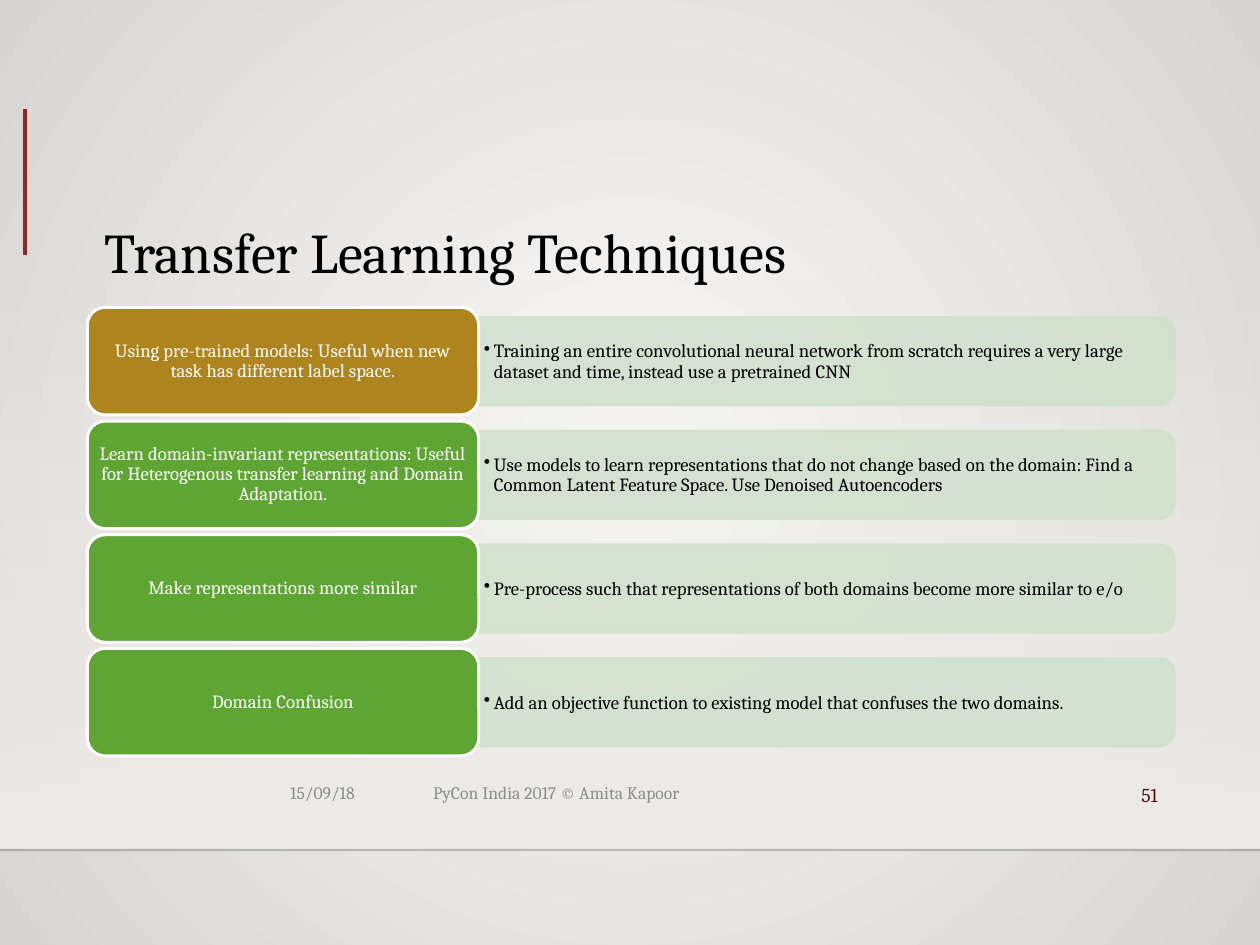
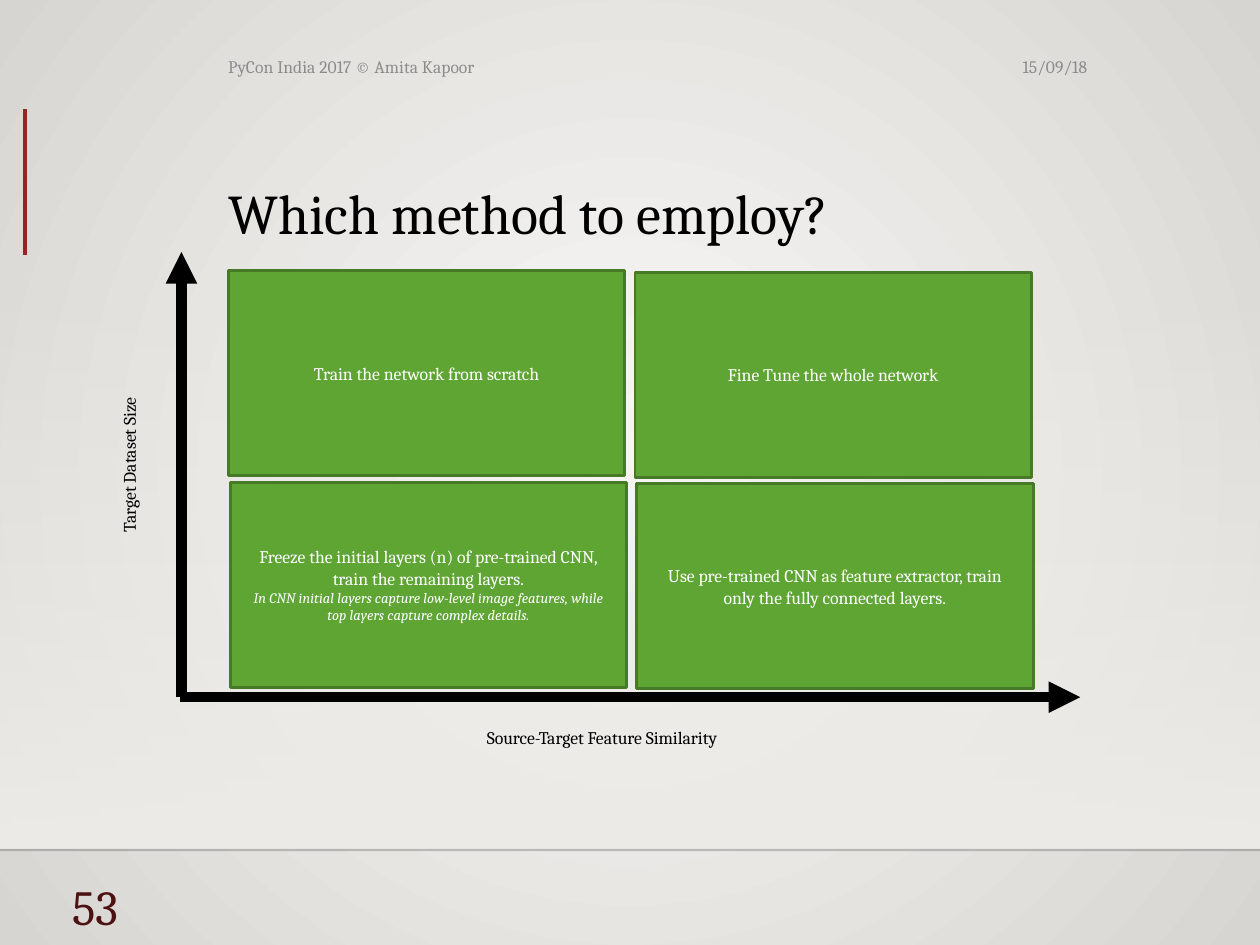
import pptx
import pptx.dml.color
import pptx.enum.shapes
import pptx.enum.text
import pptx.oxml
import pptx.oxml.ns
import pptx.util
from pptx.util import Inches

RGBColor = pptx.dml.color.RGBColor
ALIGN = pptx.enum.text.PP_ALIGN
ANCHOR = pptx.enum.text.MSO_ANCHOR
AUTO_SIZE = pptx.enum.text.MSO_AUTO_SIZE
SHAPE = pptx.enum.shapes.MSO_SHAPE
qn = pptx.oxml.ns.qn

FONT = "Cambria"
BLACK = RGBColor(0x00, 0x00, 0x00)
WHITE = RGBColor(0xFF, 0xFF, 0xFF)
GRAY = RGBColor(0x8C, 0x8C, 0x8C)
MAROON = RGBColor(0x4C, 0x12, 0x12)
RED = RGBColor(0x97, 0x23, 0x23)
GOLD = RGBColor(0xAE, 0x84, 0x1E)
GREEN = RGBColor(0x5F, 0xA5, 0x34)
DARK_GREEN = RGBColor(0x46, 0x7A, 0x26)
PALE_GREEN = RGBColor(0xD2, 0xE1, 0xCE)
PAPER_LIGHT = RGBColor(0xFA, 0xFA, 0xF9)
PAPER_DARK = RGBColor(0xD7, 0xD5, 0xD2)
BAND = RGBColor(0xED, 0xEB, 0xE7)

DATE = "15/09/18"
COPYRIGHT = "PyCon India 2017 © Amita Kapoor"

TECHNIQUES = [
    ("Using pre-trained models: Useful when new task has different label space.",
     "Training an entire convolutional neural network from scratch requires "
     "a very large dataset and time, instead use a pretrained CNN", GOLD),
    ("Learn domain-invariant representations: Useful for Heterogenous transfer "
     "learning and Domain Adaptation.",
     "Use models to learn representations that do not change based on the domain: "
     "Find a Common Latent Feature Space. Use Denoised Autoencoders", GREEN),
    ("Make representations more similar",
     "Pre-process such that representations of both domains become more similar to e/o",
     GREEN),
    ("Domain Confusion",
     "Add an objective function to existing model that confuses the two domains.", GREEN),
]

METHODS = [
    ["Train the network from scratch", "Fine Tune the whole network"],
    ["Freeze the initial layers (n) of pre-trained CNN, train the remaining layers.",
     "Use pre-trained CNN as feature extractor, train only the fully connected layers."],
]
FREEZE_NOTE = ("In CNN initial layers capture low-level image features, "
               "while top layers capture complex details.")


def xml(tag, attributes="", children=""):
    """Make one element of the drawing namespace."""
    namespace = pptx.oxml.ns.nsdecls("a")
    return pptx.oxml.parse_xml(f"<a:{tag} {namespace} {attributes}>{children}</a:{tag}>")


def write(frame, text, size, color=BLACK, align=ALIGN.LEFT, italic=None,
          line_spacing=None, bullet_indent=None, add=False):
    """Write one paragraph; add=True puts it after those already there."""
    paragraph = frame.add_paragraph() if add else frame.paragraphs[0]
    paragraph.alignment = align
    if line_spacing:
        paragraph.line_spacing = line_spacing
    if bullet_indent:
        properties = paragraph._p.get_or_add_pPr()
        properties.set("marL", str(bullet_indent))
        properties.set("indent", str(-bullet_indent))
        properties.append(xml("buChar", 'char="•"'))
    run = paragraph.add_run()
    run.text = text
    run.font.name = FONT
    run.font.size = pptx.util.Pt(size)
    run.font.italic = italic
    run.font.color.rgb = color


def set_insets(frame, horizontal, vertical):
    frame.margin_left = frame.margin_right = Inches(horizontal)
    frame.margin_top = frame.margin_bottom = Inches(vertical)


def add_text(slide, box, text, size, anchor=ANCHOR.TOP, wrap=True, **text_format):
    shape = slide.shapes.add_textbox(*map(Inches, box))
    frame = shape.text_frame
    frame.word_wrap = wrap
    frame.auto_size = AUTO_SIZE.NONE if wrap else AUTO_SIZE.SHAPE_TO_FIT_TEXT
    frame.vertical_anchor = anchor
    write(frame, text, size, **text_format)
    return shape


def add_box(slide, kind, box, fill, line=None, width=1.25):
    shape = slide.shapes.add_shape(kind, *map(Inches, box))
    shape.shadow.inherit = False
    shape.fill.solid()
    shape.fill.fore_color.rgb = fill
    if line is None:
        shape.line.fill.background()
    else:
        shape.line.color.rgb = line
        shape.line.width = pptx.util.Pt(width)
    shape.text_frame.word_wrap = True
    shape.text_frame.vertical_anchor = ANCHOR.MIDDLE
    return shape


def add_line(slide, start, end, color, width, arrow=False):
    connector = slide.shapes.add_connector(
        pptx.enum.shapes.MSO_CONNECTOR.STRAIGHT, *map(Inches, start + end))
    connector.line.color.rgb = color
    connector.line.width = pptx.util.Pt(width)
    if arrow:
        connector.line._get_or_add_ln().append(xml("tailEnd", 'type="triangle"'))
    connector._element.spPr.append(xml("effectLst"))
    return connector


def set_opacity(shape, percent):
    """Make the fill and line of a shape partly transparent."""
    for color in shape._element.spPr.iter(qn("a:srgbClr")):
        color.append(xml("alpha", f'val="{percent * 1000}"'))


def set_gradient(parent, first, last, direction, first_opacity=100):
    """Replace the parent's solid fill by a gradient of two colours."""
    gradient = xml(
        "gradFill", 'rotWithShape="1"',
        f'<a:gsLst><a:gs pos="0"><a:srgbClr val="{first}">'
        f'<a:alpha val="{first_opacity * 1000}"/></a:srgbClr></a:gs>'
        f'<a:gs pos="100000"><a:srgbClr val="{last}"/></a:gs></a:gsLst>{direction}')
    parent.replace(parent.find(qn("a:solidFill")), gradient)


def decorate_layout(layout, slide):
    """Draw the shared backdrop on the slide and move it into its layout."""
    layout.background.fill.solid()
    set_gradient(next(layout.element.iter(qn("p:bgPr"))), PAPER_LIGHT, PAPER_DARK,
                 '<a:path path="circle"><a:fillToRect l="50000" t="50000" '
                 'r="50000" b="50000"/></a:path>')
    band = add_box(slide, SHAPE.RECTANGLE, (0, 1.65, 7.5, 3.4), BAND)
    set_gradient(band._element.spPr, BAND, BAND,
                 '<a:lin ang="5400000" scaled="0"/>', first_opacity=0)
    rule = add_line(slide, (0, 5.06), (7.5, 5.06), BLACK, 1)
    set_opacity(rule, 20)
    accent = add_line(slide, (0.15, 0.65), (0.15, 1.52), RED, 1.75)
    for shape in (band, rule, accent):
        layout.shapes.element.append(shape._element)


def set_title(slide, text, box):
    title = slide.shapes.title
    title.left, title.top, title.width, title.height = map(Inches, box)
    frame = title.text_frame
    frame.auto_size = AUTO_SIZE.NONE
    frame.vertical_anchor = ANCHOR.BOTTOM
    write(frame, text, 24, line_spacing=0.9)


def add_footers(slide, date_box, copyright_box, number, number_box, number_size):
    add_text(slide, date_box, DATE, 7.5, ANCHOR.MIDDLE, color=GRAY, align=ALIGN.RIGHT)
    add_text(slide, copyright_box, COPYRIGHT, 7.5, ANCHOR.MIDDLE, color=GRAY)
    add_text(slide, number_box, number, number_size, color=MAROON, align=ALIGN.RIGHT)


def add_technique(slide, top, name, description, color):
    # The bar is drawn upright and turned, so its rounded end faces right.
    bar = add_box(slide, SHAPE.ROUND_2_SAME_RECTANGLE,
                  (4.66, top - 1.75, 0.52, 4.14), PALE_GREEN, PALE_GREEN)
    bar.rotation = 90
    set_opacity(bar, 90)
    detail = add_text(slide, (2.85, top + 0.09, 4.11, 0.47), description, 8,
                      ANCHOR.MIDDLE, line_spacing=0.9, bullet_indent=Inches(0.06))
    set_insets(detail.text_frame, 0.03, 0.02)
    card = add_box(slide, SHAPE.ROUNDED_RECTANGLE, (0.52, top, 2.33, 0.64), color, WHITE)
    set_insets(card.text_frame, 0.03, 0.02)
    write(card.text_frame, name, 8, color=WHITE, align=ALIGN.CENTER, line_spacing=0.9)


def build_techniques(slide):
    set_title(slide, "Transfer Learning Techniques", (0.52, 0.93, 6.47, 0.82))
    add_footers(slide, (0.52, 4.61, 1.69, 0.22), (2.48, 4.61, 2.53, 0.22),
                "51", (5.3, 4.61, 1.69, 0.22), 8.4)
    first_top, last_top = 1.83, 3.86
    pitch = (last_top - first_top) / (len(TECHNIQUES) - 1)
    for index, technique in enumerate(TECHNIQUES):
        add_technique(slide, first_top + index * pitch, *technique)


def build_methods(slide):
    set_title(slide, "Which method to employ?", (1.26, 0.66, 5.31, 0.86))
    add_footers(slide, (4.63, 0.27, 1.94, 0.25), (1.26, 0.27, 3.23, 0.25),
                "53", (0.15, 5.17, 0.65, 0.41), 21)
    add_line(slide, (1.08, 4.15), (1.08, 1.5), BLACK, 4.5, arrow=True)
    add_line(slide, (1.07, 4.15), (6.43, 4.15), BLACK, 4.5, arrow=True)
    size_label = add_text(slide, (0.22, 2.6, 1.1, 0.23), "Target Dataset Size", 7.6,
                          wrap=False)
    size_label.rotation = 270
    add_text(slide, (2.8, 4.28, 1.74, 0.23), "Source-Target Feature Similarity", 7.6,
             wrap=False)
    frames = {}
    for row, texts in enumerate(METHODS):
        for column, text in enumerate(texts):
            left = 1.36 + 2.42 * column + 0.01 * row
            top = 1.61 + 1.26 * row + 0.01 * column
            quadrant = add_box(slide, SHAPE.RECTANGLE, (left, top, 2.36, 1.22),
                               GREEN, DARK_GREEN)
            write(quadrant.text_frame, text, 7.6, color=WHITE, align=ALIGN.CENTER)
            frames[row, column] = quadrant.text_frame
    write(frames[1, 0], FREEZE_NOTE, 6.2, color=WHITE, align=ALIGN.CENTER,
          italic=True, add=True)


def main():
    presentation = pptx.Presentation()
    presentation.slide_width = Inches(7.5)
    presentation.slide_height = presentation.slide_width * 3 // 4
    layout = presentation.slide_layouts.get_by_name("Title Only")
    techniques_slide = presentation.slides.add_slide(layout)
    methods_slide = presentation.slides.add_slide(layout)
    decorate_layout(layout, techniques_slide)
    build_techniques(techniques_slide)
    build_methods(methods_slide)
    presentation.save("out.pptx")


if __name__ == "__main__":
    main()
